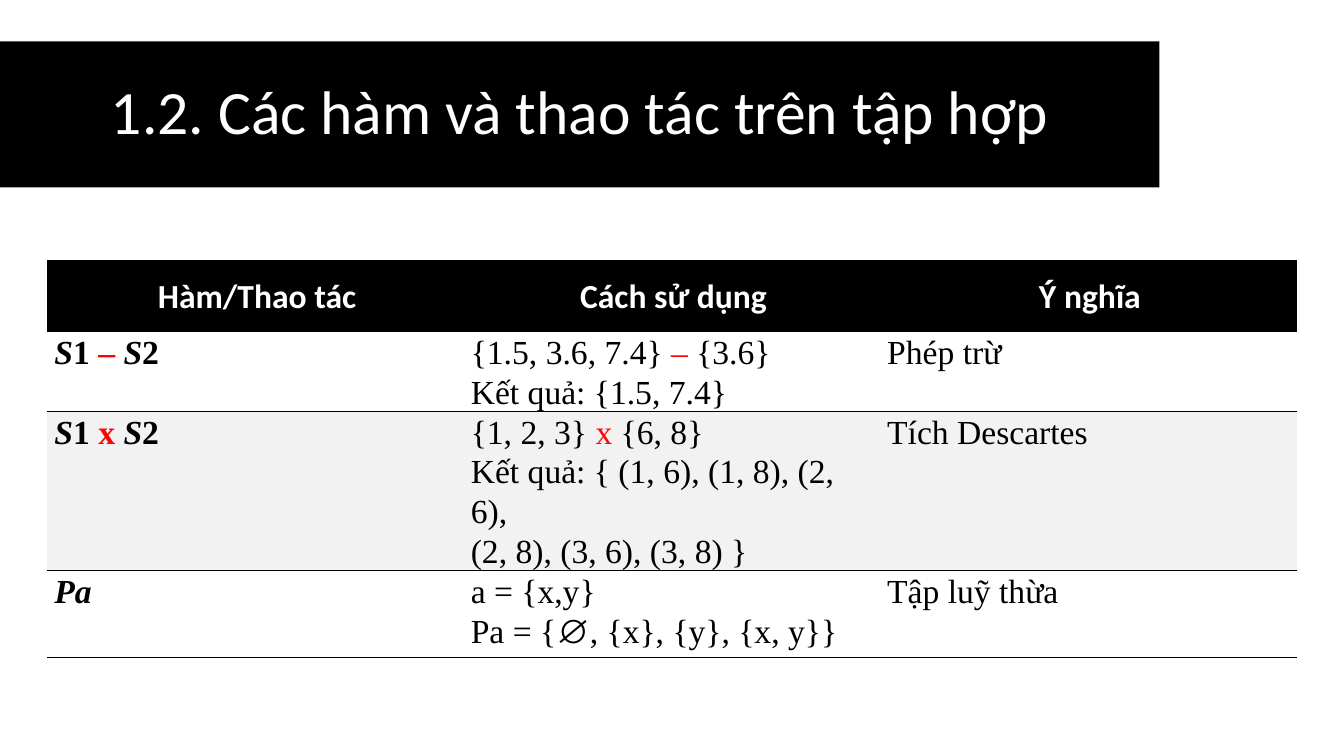
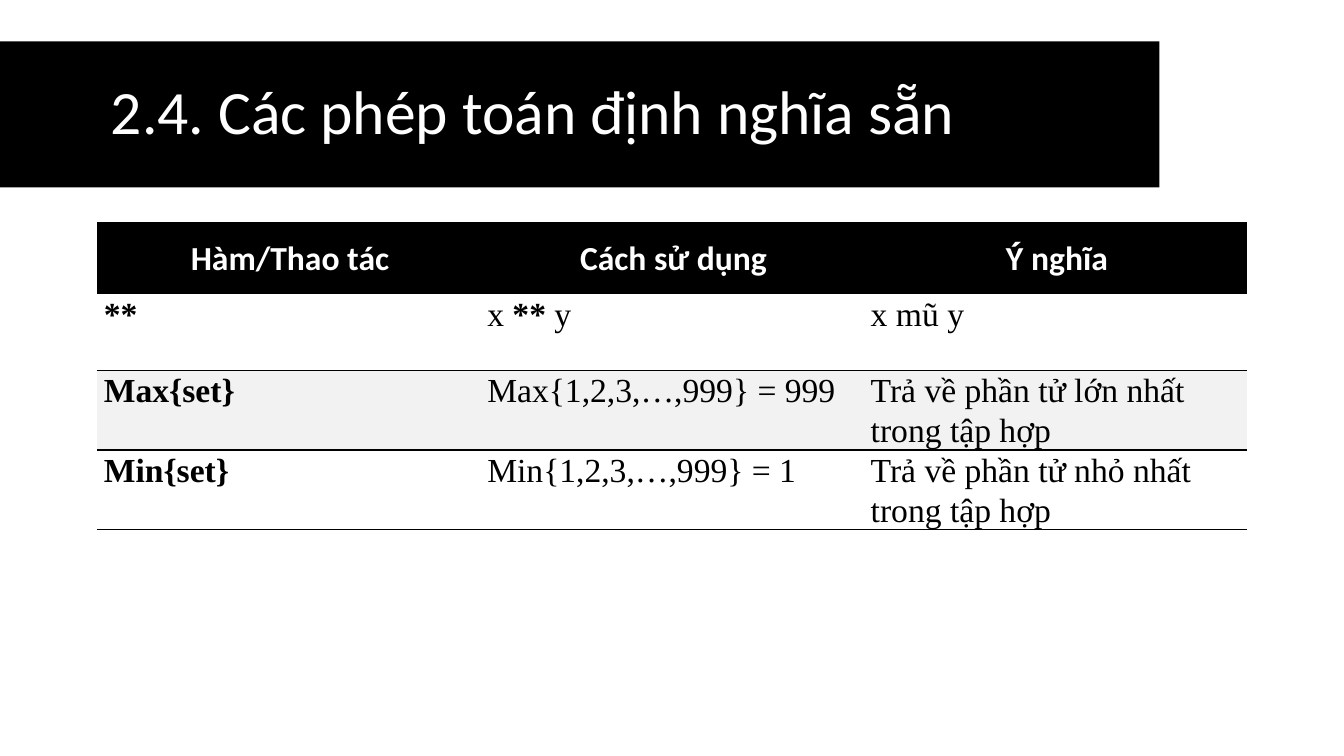
from lxml import etree
from pptx import Presentation
from pptx import util as u
from pptx.dml.color import RGBColor
from pptx.enum import text
from pptx.oxml import ns

BLACK = RGBColor(0x00, 0x00, 0x00)
WHITE = RGBColor(0xFF, 0xFF, 0xFF)
RED = RGBColor(0xFF, 0x03, 0x03)
BAND = RGBColor(0xF2, 0xF2, 0xF2)
HEAD_FONT, BODY_FONT, SYMBOL_FONT = "Calibri", "Times New Roman", "Arial"
NO_STYLE = "{2D5ABB26-0587-4C30-8999-92F81FD0307C}"
HEADINGS = ["Hàm/Thao tác", "Cách sử dụng", "Ý nghĩa"]
HEAD_INSETS = (0.1, 0.14, 0.07, 0.14)
BODY_INSETS = (0.07, 0, 0.07, 0)
BANDED_ROW = 2

# Each row holds three cells, a cell its paragraphs, a paragraph its spans.
# A span is plain text or (text, marks): b bold, i italic, r red, s symbol.
SET_ROWS = [
    [[[("S", "bi"), ("1 ", "b"), ("– ", "br"), ("S", "bi"), ("2", "b")]],
     [["{1.5, 3.6, 7.4} ", ("– ", "r"), "{3.6}"], ["Kết quả: {1.5, 7.4}"]],
     [["Phép trừ"]]],
    [[[("S", "bi"), ("1 ", "b"), ("x ", "br"), ("S", "bi"), ("2", "b")]],
     [["{1, 2, 3} ", ("x ", "r"), "{6, 8}"],
      ["Kết quả: { (1, 6), (1, 8), (2, 6),"],
      ["(2, 8), (3, 6), (3, 8) }"]],
     [["Tích Descartes"]]],
    [[[("Pa", "bi")]],
     [["a = {x,y}"], ["Pa = {", ("∅", "s"), ", {x}, {y}, {x, y}}"]],
     [["Tập luỹ thừa"]]],
]
BUILT_IN_ROWS = [
    [[[("**", "b")]], [["x ", ("** ", "b"), "y"]], [["x mũ y"]]],
    [[[("Max{set}", "b")]], [["Max{1,2,3,…,999} = 999"]],
     [["Trả về phần tử lớn nhất trong tập hợp"]]],
    [[[("Min{set}", "b")]], [["Min{1,2,3,…,999} = 1"]],
     [["Trả về phần tử nhỏ nhất trong tập hợp"]]],
]


def add_title(page, wording):
    """Black title band running in from the left edge."""
    title = page.shapes.title
    title.left, title.top = u.Inches(0), u.Inches(0.41)
    title.width, title.height = u.Inches(11.5), u.Inches(1.45)
    title.fill.solid()
    title.fill.fore_color.rgb = BLACK
    frame = title.text_frame
    frame.auto_size = text.MSO_AUTO_SIZE.NONE
    frame.vertical_anchor = text.MSO_ANCHOR.MIDDLE
    frame.margin_left = u.Inches(1.1)
    frame.text = wording
    para = frame.paragraphs[0]
    para.alignment = text.PP_ALIGN.LEFT
    para.line_spacing = 0.9
    set_font(para.font, HEAD_FONT, 44, WHITE)


def set_font(font, name, size, color):
    font.name, font.size = name, u.Pt(size)
    font.color.rgb = color


def set_insets(cell, insets):
    (cell.margin_left, cell.margin_top,
     cell.margin_right, cell.margin_bottom) = map(u.Inches, insets)


def set_fill(cell, color):
    if color is None:
        cell.fill.background()
    else:
        cell.fill.solid()
        cell.fill.fore_color.rgb = color


def add_border(cell, side):
    """Black 1 pt rule on one side; borders precede the fill in the XML."""
    line = etree.Element(ns.qn("a:" + side), w=str(u.Pt(1)))
    fill = etree.SubElement(line, ns.qn("a:solidFill"))
    etree.SubElement(fill, ns.qn("a:srgbClr"), val=str(BLACK))
    cell._tc.get_or_add_tcPr().insert(0, line)


def fill_header(cell, heading):
    set_insets(cell, HEAD_INSETS)
    set_fill(cell, BLACK)
    cell.vertical_anchor = text.MSO_ANCHOR.MIDDLE
    cell.text = heading
    para = cell.text_frame.paragraphs[0]
    para.alignment = text.PP_ALIGN.CENTER
    para.line_spacing = 1.07
    set_font(para.font, HEAD_FONT, 24, WHITE)
    para.font.bold = True


def fill_body(cell, paragraphs):
    set_insets(cell, BODY_INSETS)
    frame = cell.text_frame
    for index, spans in enumerate(paragraphs):
        para = frame.add_paragraph() if index else frame.paragraphs[0]
        para.line_spacing = 1.07
        set_font(para.font, BODY_FONT, 24, BLACK)
        for item in spans:
            wording, marks = (item, "") if isinstance(item, str) else item
            span = para.add_run()
            span.text = wording
            if "b" in marks:
                span.font.bold = True
            if "i" in marks:
                span.font.italic = True
            if "r" in marks:
                span.font.color.rgb = RED
            if "s" in marks:
                span.font.name = SYMBOL_FONT


def add_function_table(page, left, top, width, heights, rows):
    """Three equal columns under a black header, with one grey row."""
    holder = page.shapes.add_table(
        len(rows) + 1, len(HEADINGS), u.Inches(left), u.Inches(top),
        u.Inches(width), u.Inches(sum(heights)))
    table = holder.table
    table._tbl.tblPr.find(ns.qn("a:tableStyleId")).text = NO_STYLE
    for row, height in zip(table.rows, heights):
        row.height = u.Inches(height)
    for column, heading in enumerate(HEADINGS):
        fill_header(table.cell(0, column), heading)
        for number, row in enumerate(rows, 1):
            cell = table.cell(number, column)
            fill_body(cell, row[column])
            set_fill(cell, BAND if number == BANDED_ROW else None)
            if number == BANDED_ROW:
                add_border(cell, "lnT")
            if number == len(rows):
                add_border(cell, "lnB")


def add_page(deck, wording, *table_parts):
    page = deck.slides.add_slide(deck.slide_layouts[5])
    add_title(page, wording)
    add_function_table(page, *table_parts)


def main():
    deck = Presentation()
    deck.slide_width, deck.slide_height = u.Inches(13.33), u.Inches(7.5)
    add_page(deck, "1.2. Các hàm và thao tác trên tập hợp",
             0.47, 2.58, 12.39, [0.7, 0.79, 1.57, 0.86], SET_ROWS)
    add_page(deck, "2.4. Các phép toán định nghĩa sẵn",
             0.96, 2.2, 11.41, [0.7, 0.76, 0.79, 0.79], BUILT_IN_ROWS)
    deck.save("out.pptx")


if __name__ == "__main__":
    main()
